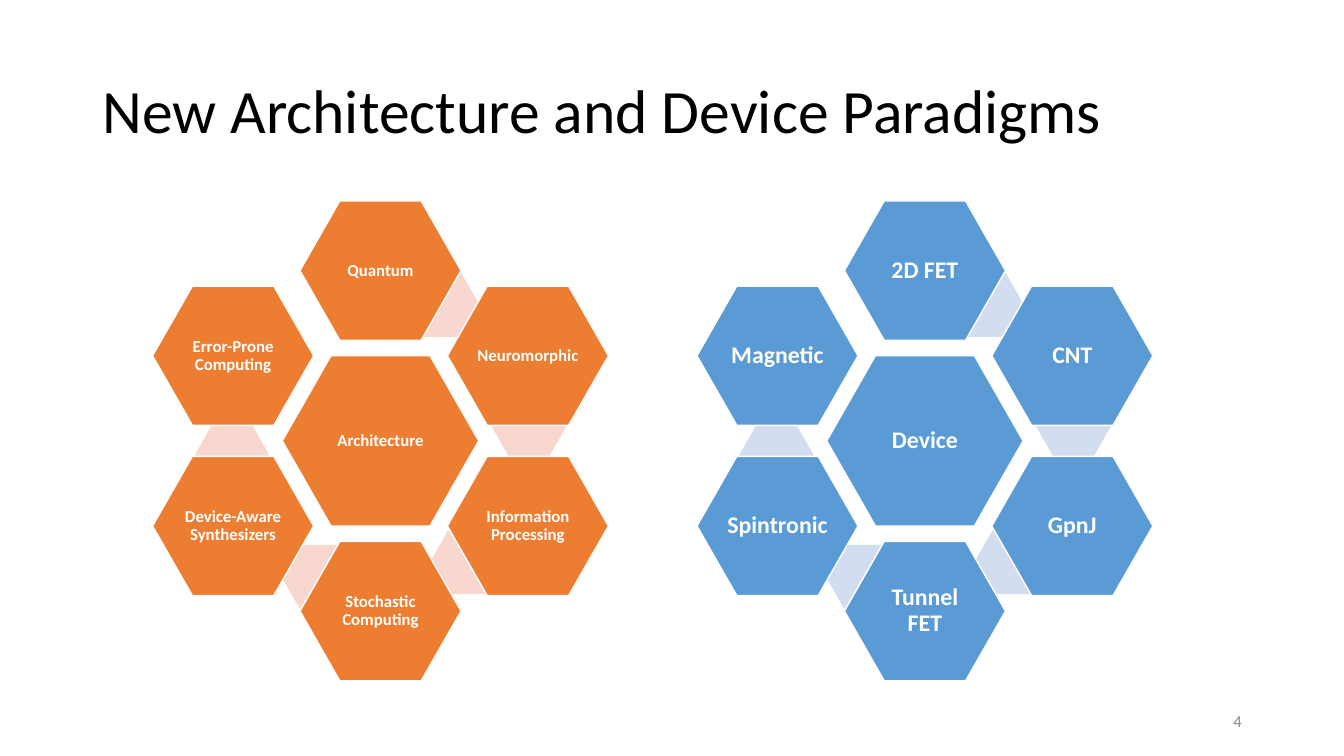
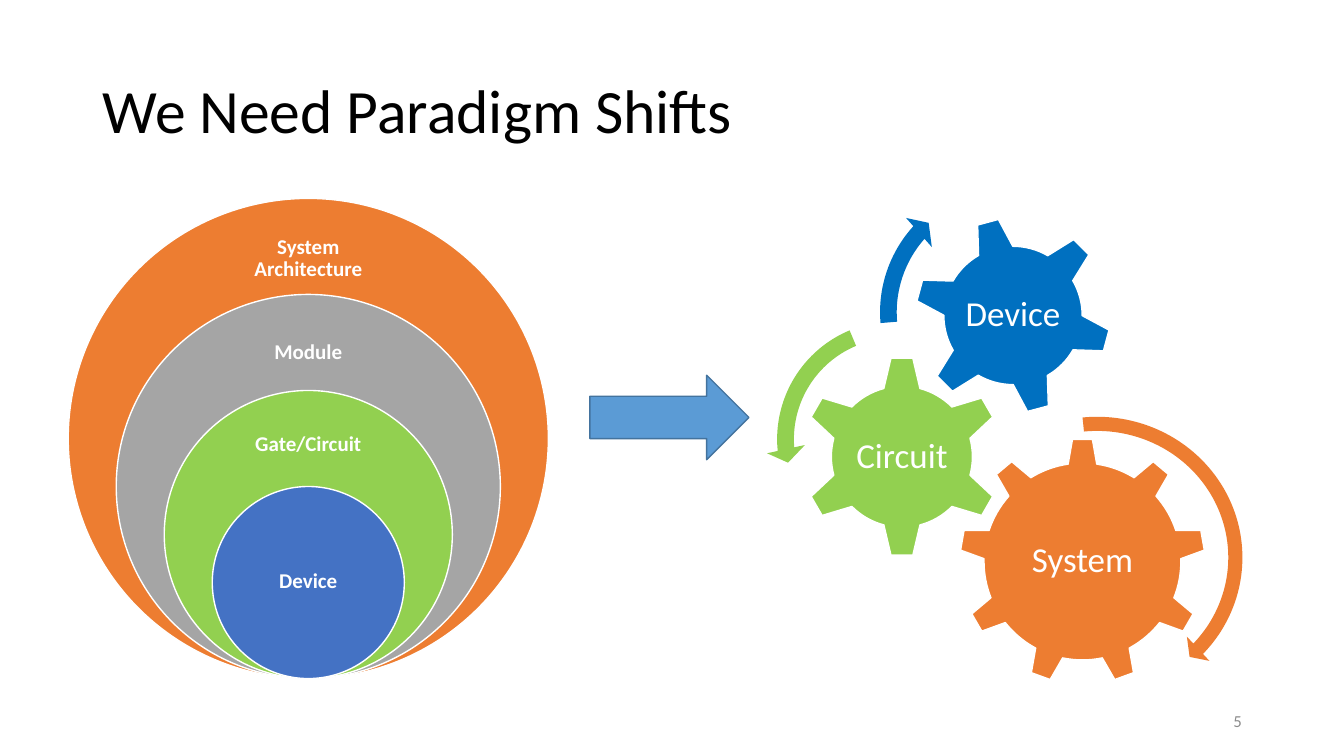
"""Build two slides on computing architecture and device paradigms."""
from math import cos, radians, sin

from pptx import Presentation
from pptx.dml.color import RGBColor
from pptx.enum.shapes import MSO_SHAPE
from pptx.enum.text import MSO_ANCHOR, PP_ALIGN
from pptx.util import Cm, Pt

HEXAGON, ELLIPSE, RIGHT_ARROW = MSO_SHAPE.HEXAGON, MSO_SHAPE.OVAL, MSO_SHAPE.RIGHT_ARROW
GEAR_6, GEAR_9 = MSO_SHAPE.GEAR_6, MSO_SHAPE.GEAR_9
CLOCKWISE, COUNTERCLOCKWISE = MSO_SHAPE.CIRCULAR_ARROW, MSO_SHAPE.LEFT_CIRCULAR_ARROW
MIDDLE = MSO_ANCHOR.MIDDLE
LEFT, CENTER, RIGHT = PP_ALIGN.LEFT, PP_ALIGN.CENTER, PP_ALIGN.RIGHT

TITLE_ONLY = 5
FONT = "Calibri"
BLACK, WHITE, GRAY, SILVER = "000000", "FFFFFF", "8C8C8C", "A5A5A5"
ORANGE, PALE_ORANGE = "ED7D31", "F8D7CE"
BLUE, PALE_BLUE, EDGE_BLUE = "5B9BD5", "D2DEEF", "43739E"
GREEN, ROYAL_BLUE, DEEP_BLUE = "92D050", "4472C4", "0070C0"

TITLE = {"size": Pt(44), "bold": False}
NUMBER = {"size": Pt(12), "bold": False}
SMALL_HEXAGON = {"size": Pt(12), "bold": True}
LARGE_HEXAGON = {"size": Pt(17), "bold": True}
CIRCLE = {"size": Pt(15), "bold": True}
GEAR = {"size": Pt(25), "bold": False}

HEXAGON_POINT = (28.6 / 100,)
RING_RADIUS, LINK_RADIUS, LINK_START = 4.29, 3.76, 24.5
CIRCLE_MIDDLE, CIRCLE_BOTTOM, CIRCLE_STEP = 7.77, 17.1, 2.42

ARCHITECTURES = ("Quantum", "Neuromorphic", "Information Processing",
                 "Stochastic Computing", "Device-Aware Synthesizers",
                 "Error-Prone Computing")
DEVICES = ("2D FET", "CNT", "GpnJ", "Tunnel FET", "Spintronic", "Magnetic")
LEVELS = (("System Architecture", ORANGE, 6.52), ("Module", SILVER, 8.88),
          ("Gate/Circuit", GREEN, 11.2), ("Device", ROYAL_BLUE, 14.67))
GEARS = (("System", GEAR_9, ORANGE, (27.28, 14.15), 6.2, 0),
         ("Circuit", GEAR_6, GREEN, (22.73, 11.51), 5.08, 0),
         ("Device", GEAR_6, DEEP_BLUE, (25.53, 7.95), 4.98, 345))
TURNS = ((CLOCKWISE, ORANGE, (27.65, 14.05), (7.8, 7.57), (4.7, 4.98, 42.08, 264.05, 5.5)),
         (COUNTERCLOCKWISE, GREEN, (22.56, 11.07), (6.5, 6.5), (6.5, 7.17, 174.82, 247.3, 7.5)),
         (CLOCKWISE, DEEP_BLUE, (25.4, 7.87), (7, 7), (6, 6.57, 221.9, 175.14, 7)))


def color(code):
    """Return the colour of a hex string."""
    return RGBColor.from_string(code)


def apply(target, values):
    """Set every attribute in a dict on the target."""
    for name, value in values.items():
        setattr(target, name, value)


def write(shape, text, style, ink, align=CENTER, inset=None, spacing=0.9):
    """Write one formatted paragraph into a shape."""
    frame = shape.text_frame
    frame.text = text
    apply(frame, {"word_wrap": True, "vertical_anchor": MIDDLE})
    if inset is not None:
        sides = ("margin_left", "margin_top", "margin_right", "margin_bottom")
        apply(frame, dict.fromkeys(sides, Cm(inset)))
    para = frame.paragraphs[0]
    apply(para, {"alignment": align, "line_spacing": spacing})
    span = para.runs[0]
    apply(span.font, {"name": FONT, **style})
    span.font.color.rgb = color(ink)


def centered(center, size):
    """Return left, top, width and height around a centre."""
    (x, y), (width, height) = center, size
    return Cm(x - width / 2), Cm(y - height / 2), Cm(width), Cm(height)


def add_figure(slide, kind, center, size, fill, edge=None, adjustments=()):
    """Add a flat preset shape around a centre."""
    shape = slide.shapes.add_shape(kind, *centered(center, size))
    shape.shadow.inherit = False
    shape.fill.solid()
    shape.fill.fore_color.rgb = color(fill)
    if edge:
        shape.line.color.rgb = color(edge)
        shape.line.width = Pt(1)
    else:
        shape.line.fill.background()
    for index, value in enumerate(adjustments):
        shape.adjustments[index] = value
    return shape


def add_label(slide, text, center, size, style, inset):
    """Add white text around a centre."""
    box = slide.shapes.add_textbox(*centered(center, size))
    write(box, text, style, WHITE, inset=inset)


def add_page(deck, title, number):
    """Add a slide with its title and page number."""
    slide = deck.slides.add_slide(deck.slide_layouts[TITLE_ONLY])
    heading = slide.shapes.title
    apply(heading, {"left": Cm(2.33), "top": Cm(1.01), "width": Cm(29.21), "height": Cm(3.68)})
    write(heading, title, TITLE, BLACK, LEFT)
    box = slide.shapes.add_textbox(Cm(23.93), Cm(17.65), Cm(7.62), Cm(1.01))
    write(box, number, NUMBER, GRAY, RIGHT, spacing=1.0)
    return slide


def ring(center, radius, start, count):
    """Return points at 60 degree steps, clockwise from the top."""
    angles = [radians(start + 60 * index) for index in range(count)]
    return [(center[0] + radius * sin(angle), center[1] - radius * cos(angle))
            for angle in angles]


def add_cluster(slide, center, core, names, fill, pale, style):
    """Add a core hexagon with a linked ring of hexagons."""
    for point in ring(center, LINK_RADIUS, LINK_START, len(names) - 1):
        add_figure(slide, HEXAGON, point, (1.88, 1.6), pale, adjustments=HEXAGON_POINT)
    cells = [(core, center, (4.95, 4.29))]
    cells += [(name, point, (4.06, 3.51))
              for name, point in zip(names, ring(center, RING_RADIUS, 0, len(names)))]
    for name, point, size in cells:
        cell = add_figure(slide, HEXAGON, point, size, fill, WHITE, HEXAGON_POINT)
        write(cell, name, style, WHITE, inset=0.04)


def add_nested_circles(slide):
    """Add circles that share their lowest point."""
    for index, (name, fill, label_middle) in enumerate(LEVELS):
        diameter = CIRCLE_STEP * (5 - index)
        center = (CIRCLE_MIDDLE, CIRCLE_BOTTOM - diameter / 2)
        add_figure(slide, ELLIPSE, center, (diameter, diameter), fill, WHITE)
        add_label(slide, name, (CIRCLE_MIDDLE, label_middle), (3.4, 1.8), CIRCLE, 0.3)


def add_gears(slide):
    """Add labelled gears and the arrows that show their turning."""
    for name, kind, fill, center, size, rotation in GEARS:
        gear = add_figure(slide, kind, center, (size, size), fill, WHITE)
        gear.rotation = rotation
        add_label(slide, name, center, (2.8, 2.6), GEAR, 0.08)
    for kind, fill, center, size, (band, tip, end, start, head) in TURNS:
        angles = [degrees * 0.6 for degrees in (tip, end, start)]
        add_figure(slide, kind, center, size, fill,
                   adjustments=(band / 100, *angles, head / 100))


def main():
    """Build and save the deck."""
    deck = Presentation()
    apply(deck, {"slide_width": Cm(33.87), "slide_height": Cm(19.05)})
    paradigms = add_page(deck, "New Architecture and Device Paradigms", "4")
    add_cluster(paradigms, (9.59, 11.11), "Architecture", ARCHITECTURES,
                ORANGE, PALE_ORANGE, SMALL_HEXAGON)
    add_cluster(paradigms, (23.31, 11.11), "Device", DEVICES,
                BLUE, PALE_BLUE, LARGE_HEXAGON)
    shifts = add_page(deck, "We Need Paradigm Shifts", "5")
    add_nested_circles(shifts)
    add_gears(shifts)
    add_figure(shifts, RIGHT_ARROW, (16.87, 10.52), (4.01, 2.13), BLUE, EDGE_BLUE)
    deck.save("out.pptx")


if __name__ == "__main__":
    main()
